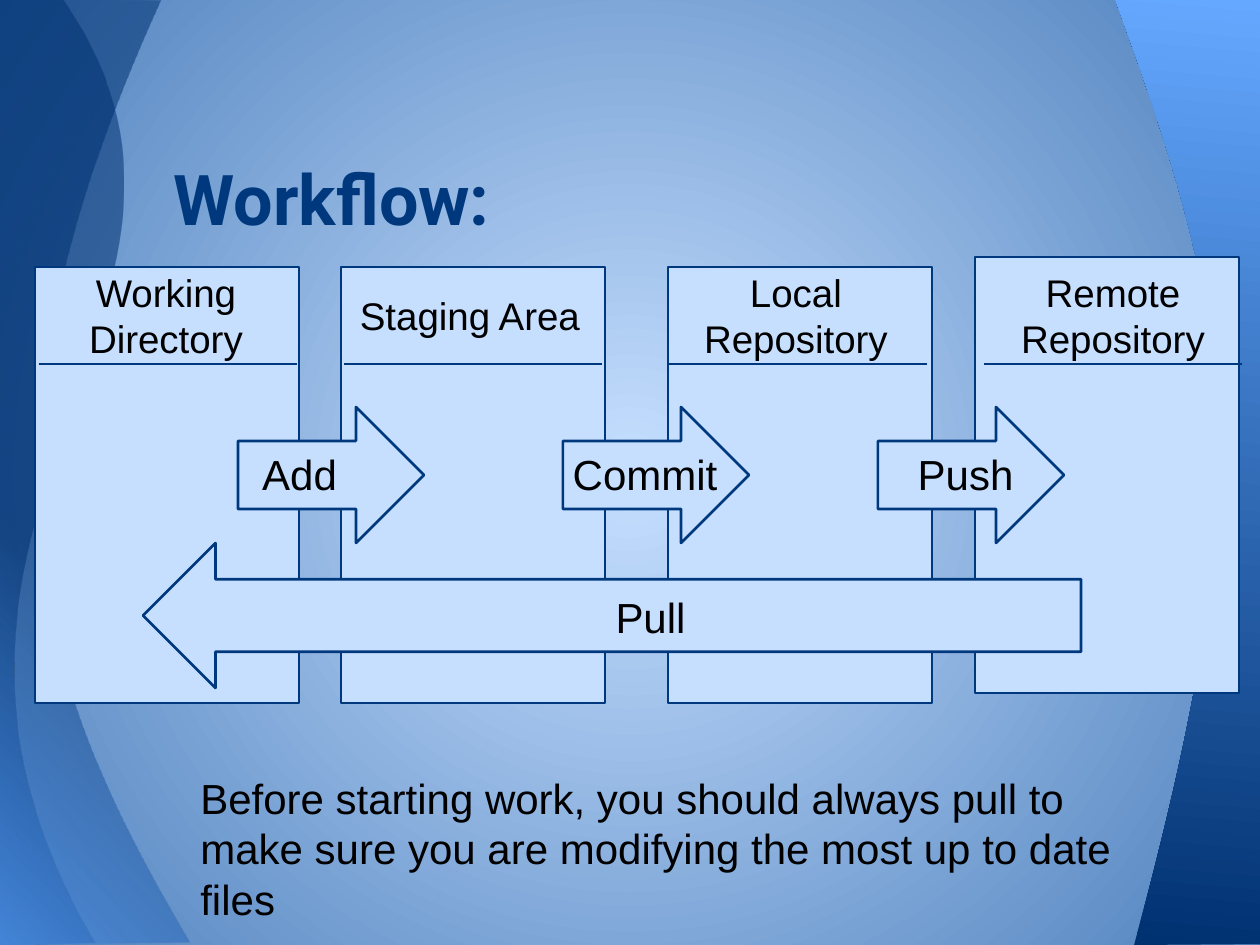
from dataclasses import dataclass

from lxml import etree
from pptx import Presentation
from pptx.dml.color import RGBColor
from pptx.enum import shapes, text
from pptx.oxml import ns
from pptx.util import Emu, Pt

SCALE = 914400 / 126


@dataclass(frozen=True)
class Theme:
    """Colours, fonts and type sizes of the slide."""
    ink: str = "000000"
    navy: str = "00387E"
    pale: str = "C6DFFF"
    steel: str = "4F81BD"
    deep: str = "003171"
    sky: str = "549FFF"
    light: str = "65A8FF"
    sans: str = "Arial"
    head: str = "Roboto"
    title: int = 40
    body: int = 24
    label: int = 22
    line: float = 1.5


T = Theme()
MID, LOW, TOP = (text.MSO_ANCHOR.MIDDLE, text.MSO_ANCHOR.BOTTOM,
                 text.MSO_ANCHOR.TOP)
LEFT, MIDST = text.PP_ALIGN.LEFT, text.PP_ALIGN.CENTER


def px(n):
    """Turn pixels into EMU."""
    return Emu(round(n * SCALE))


def spot(box):
    """Turn a pixel box into four EMU lengths."""
    return [px(n) for n in box]


def tint(code):
    """Make a colour from its hex code."""
    return RGBColor.from_string(code)


def sub(node, tag, **keys):
    """Add a child element with its attributes."""
    return etree.SubElement(node, ns.qn(tag), keys)


def blend(fill, root, stops, alpha=100, focus=None, angle=0):
    """Give a fill a linear gradient, or a round one about a focus."""
    fill.gradient()
    grad = root.find(".//" + ns.qn("a:gradFill"))
    for kid in list(grad):
        grad.remove(kid)
    row = sub(grad, "a:gsLst")
    for pos, code in stops:
        stop = sub(row, "a:gs", pos=str(pos * 1000))
        hue = sub(stop, "a:srgbClr", val=code)
        if alpha < 100:
            sub(hue, "a:alpha", val=str(alpha * 1000))
    if focus:
        ring = sub(grad, "a:path", path="circle")
        sub(ring, "a:fillToRect",
            **{side: str(n * 1000) for side, n in zip("ltrb", focus)})
    else:
        sub(grad, "a:lin", ang=str(angle * 60000), scaled="0")


def write(shape, words, size=T.body, font=T.sans, color=T.ink, bold=False,
          align=MIDST, anchor=MID, indent=0):
    """Fill a shape with one formatted paragraph."""
    frame = shape.text_frame
    frame.word_wrap = True
    frame.auto_size = text.MSO_AUTO_SIZE.NONE
    frame.vertical_anchor = anchor
    frame.margin_left = frame.margin_right = Pt(7.2)
    frame.margin_top = frame.margin_bottom = Pt(7.2)
    para = frame.paragraphs[0]
    para.alignment = align
    if indent:
        para._p.get_or_add_pPr().set("indent", str(px(indent)))
    run = para.add_run()
    run.text = words
    run.font.size, run.font.name, run.font.bold = Pt(size), font, bold
    run.font.color.rgb = tint(color)


def label(slide, box, words, **look):
    """Place a text box."""
    write(slide.shapes.add_textbox(*spot(box)), words, **look)


def block(slide, kind, box):
    """Place a pale preset shape with a navy edge."""
    shape = slide.shapes.add_shape(kind, *spot(box))
    shape.shadow.inherit = False
    shape.fill.solid()
    shape.fill.fore_color.rgb = tint(T.pale)
    shape.line.color.rgb = tint(T.navy)
    shape.line.width = Pt(T.line)
    return shape


def rule(slide, x, y, wide):
    """Draw a level line."""
    line = slide.shapes.add_connector(shapes.MSO_CONNECTOR.STRAIGHT,
                                      px(x), px(y), px(x + wide), px(y))
    line.line.color.rgb = tint(T.navy)
    line.line.width = Pt(T.line)
    sub(line._element.spPr, "a:effectLst")


def panel(slide, bend, ends, stops, **look):
    """Draw a half-turned side panel with one curved edge."""
    dots = bend + ends
    spans = [min(axis) + max(axis) for axis in zip(*dots)]
    dots = [(spans[0] - x, spans[1] - y) for x, y in dots]
    pen = slide.shapes.build_freeform(*dots[0], scale=SCALE)
    pen.add_line_segments(dots[1:], close=True)
    shape = pen.convert_to_shape()
    legs = list(shape._element.iter(ns.qn("a:lnTo")))[:3]
    arc = etree.Element(ns.qn("a:cubicBezTo"))
    legs[0].addprevious(arc)
    for leg in legs:
        arc.append(leg[0])
        leg.getparent().remove(leg)
    shape.rotation = 180
    shape.shadow.inherit = False
    shape.line.fill.background()
    blend(shape.fill, shape._element.spPr, stops, **look)


def scene(slide, wide, high):
    """Paint the background and the side panels."""
    blend(slide.background.fill, slide._element,
          [(0, T.pale), (100, T.steel)], focus=(50, 50, 50, 50))
    dusk = [(0, T.sky), (41, T.deep), (100, T.deep)]
    for bend in ([(160, 1), (-48, 457), (42, 694), (189, high - 3)],
                 [(63, 1), (273, 306), (-154, 517), (94, high - 3)]):
        panel(slide, bend, [(0, high), (0, -1)], dusk,
              alpha=54, focus=(0, 100, 100, 0))
    panel(slide, [(1134, high), (1261, 478), (1236, 329), (1115, -1)],
          [(wide + 6, -1), (wide + 6, high - 1)],
          [(0, T.deep), (100, T.light)], angle=95)


def head(slide, box, words):
    """Place the title in front of the panels."""
    title = slide.shapes.title
    title.left, title.top, title.width, title.height = spot(box)
    write(title, words, size=T.title, font=T.head, color=T.navy, bold=True,
          align=LEFT, anchor=LOW, indent=35)
    slide.shapes._spTree.append(title._element)


def flow(slide, x, y):
    """Draw the four stages and the moves between them."""
    stages = [("Working Directory", 0, 0, 4, -2),
              ("Staging Area", 306, 0, 3, -4),
              ("Local Repository", 633, 0, 1, -5),
              ("Remote Repository", 940, -10, 9, 5)]
    moves = [("Add", 203, 1, 121), ("Commit", 528, -8, 180),
             ("Push", 843, 2, 171)]
    arrow = shapes.MSO_SHAPE.RIGHT_ARROW
    for _, dx, dy, _, _ in stages:
        block(slide, shapes.MSO_SHAPE.RECTANGLE, (x + dx, y + dy, 264, 436))
    for _, dx, _, bar, _ in stages:
        rule(slide, x + dx + bar, y + 97, 258)
    for words, dx, _, _, tag in stages:
        label(slide, (x + dx + tag, y, 266, 97), words, size=T.label)
    for _, dx, _, _ in moves:
        block(slide, arrow, (x + dx, y + 140, 186, 136))
    pull = block(slide, arrow, (x + 108, y + 276, 938, 145))
    pull._element.spPr.xfrm.set("flipH", "1")
    for words, dx, tag, wide in moves:
        label(slide, (x + dx + tag, y + 177, wide, 60), words)
    label(slide, (x + 185, y + 312, 861, 69), "Pull", anchor=TOP)


def main():
    """Build and save the slide."""
    deck = Presentation()
    deck.slide_width, deck.slide_height = px(1260), px(945)
    slide = deck.slides.add_slide(deck.slide_layouts[5])
    scene(slide, 1260, 945)
    head(slide, (126, 69, 1134, 183), "Workflow:")
    flow(slide, 35, 267)
    label(slide, (188, 760, 945, 174),
          "Before starting work, you should always pull to make sure you are "
          "modifying the most up to date files", align=LEFT, anchor=TOP)
    deck.save("out.pptx")


if __name__ == "__main__":
    main()
